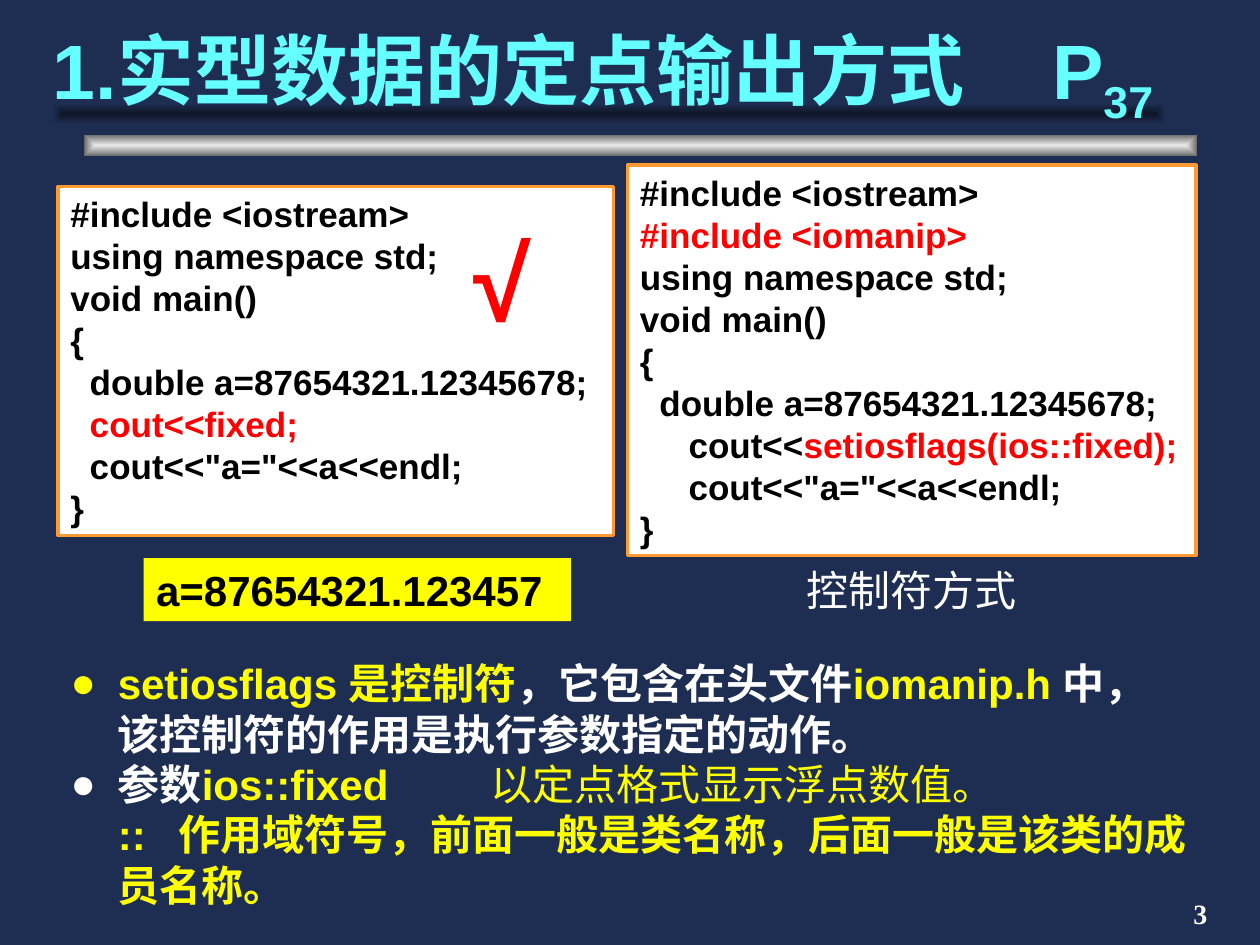
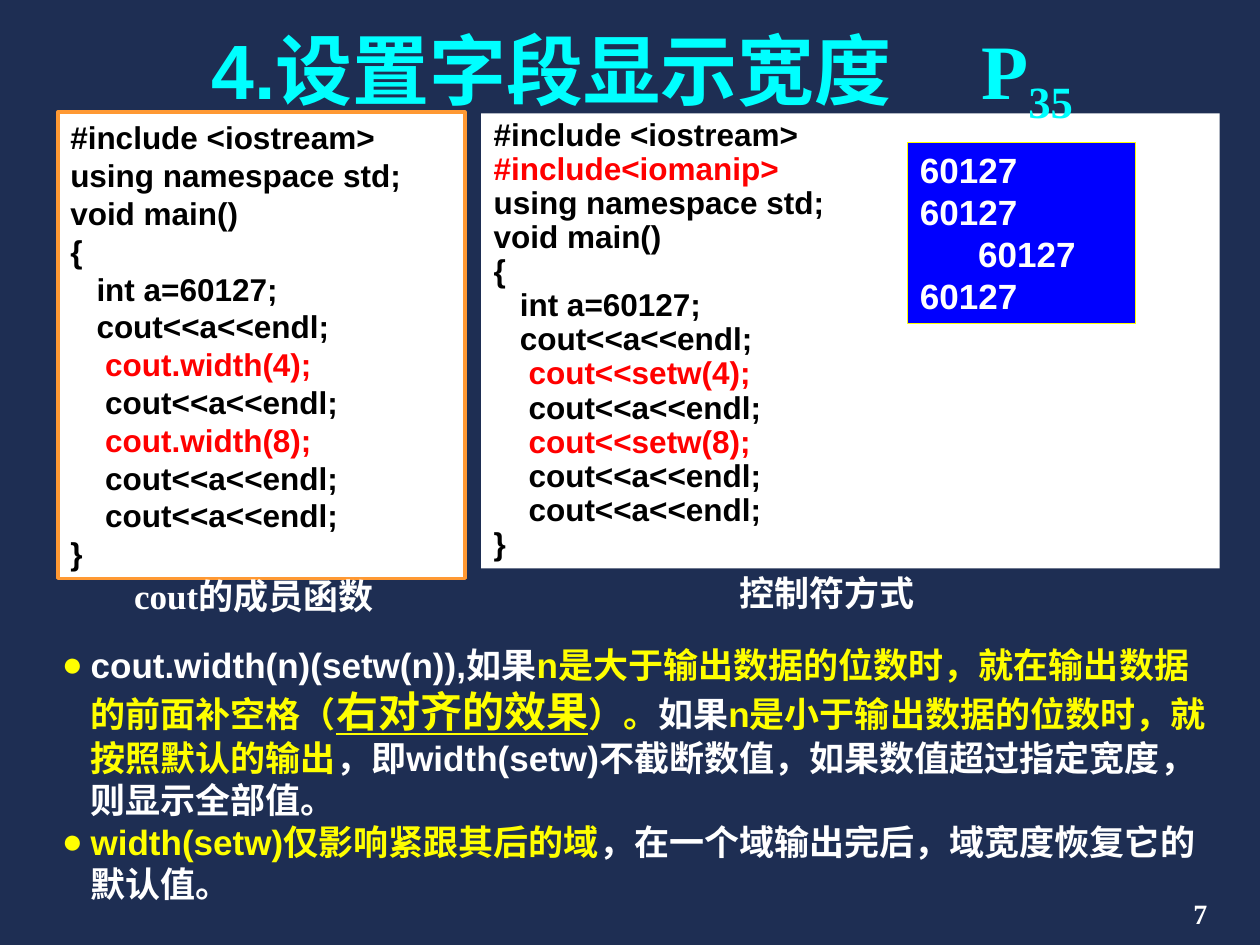
import pptx
import pptx.dml.color
import pptx.enum.dml
import pptx.enum.shapes
import pptx.enum.text
import pptx.oxml
import pptx.oxml.ns
import pptx.util
from lxml import etree

Pt = pptx.util.Pt
RGBColor = pptx.dml.color.RGBColor
Align = pptx.enum.text.PP_ALIGN
Anchor = pptx.enum.text.MSO_ANCHOR
qn = pptx.oxml.ns.qn

NAVY = RGBColor(0x1E, 0x2E, 0x53)
DARK_NAVY = RGBColor(0x0E, 0x15, 0x26)
SILVER = RGBColor(0xEA, 0xEA, 0xEA)
GRAY = RGBColor(0x6C, 0x6C, 0x6C)
AQUA = RGBColor(0x66, 0xFF, 0xFF)
CYAN = RGBColor(0x00, 0xFF, 0xFF)
ORANGE = RGBColor(0xFF, 0x99, 0x33)
YELLOW = RGBColor(0xFF, 0xFF, 0x00)
RED = RGBColor(0xFF, 0x00, 0x00)
BLUE = RGBColor(0x00, 0x00, 0xFF)
WHITE = RGBColor(0xFF, 0xFF, 0xFF)
BLACK = RGBColor(0x00, 0x00, 0x00)

SANS, SERIF = "Arial", "Times New Roman"
SUBSCRIPT = "-25000"
TITLE_BOTTOM = 76.5
NUMBER_BOX = (547.2, 504, 149.8, 36)
TITLE_BARS = [  # box, centre colour, edge colour
    ((48.2, 77, 635.8, 12.2), SILVER, GRAY),
    ((30.2, 59, 635.8, 12.2), DARK_NAVY, NAVY),
]

# A paragraph is a string or a list of runs: (text, colour, other font settings).
FIXED_CODE = [
    "#include <iostream>",
    "using namespace std;",
    "void main()",
    "{",
    "  double a=87654321.12345678;",
    [("  cout<<fixed;", RED)],
    '  cout<<"a="<<a<<endl;',
    "}",
]
SETIOSFLAGS_CODE = [
    "#include <iostream>",
    [("#include <iomanip>", RED)],
    "using namespace std;",
    "void main()",
    "{",
    "  double a=87654321.12345678;",
    [("     cout<<", BLACK), ("setiosflags(ios::fixed);", RED)],
    '     cout<<"a="<<a<<endl;',
    "}",
]
FIXED_NOTES = [
    [("setiosflags 是控制符", YELLOW), ("，它包含在头文件", WHITE),
     ("iomanip.h ", YELLOW), ("中，该控制符的作用是执行参数指定的动作。", WHITE)],
    [("参数", WHITE), ("ios::fixed\t", YELLOW),
     ("以定点格式显示浮点数值。\n", YELLOW, {"bold": False}),
     ("::\t作用域符号，前面一般是类名称，后面一般是该类的成员名称。", YELLOW)],
]
WIDTH_NOTES = [
    [("cout.width(n)(setw(n)),如果", WHITE),
     ("n是大于输出数据的位数时，就在输出数据的前面补空格（", YELLOW),
     ("右对齐的效果", YELLOW, {"size": Pt(24), "underline": True}),
     ("）。", YELLOW), ("如果", WHITE),
     ("n是小于输出数据的位数时，就按照默认的输出", YELLOW),
     ("，即width(setw)不截断数值，如果数值超过指定宽度，则显示全部值。", WHITE)],
    [("width(setw)仅影响紧跟其后的域", YELLOW),
     ("，在一个域输出完后，域宽度恢复它的默认值。", WHITE)],
]


def width_code(first_lines, set_width):
    """Program lines that print a number after each width call."""
    printing = "    cout<<a<<endl;"
    return [
        "#include <iostream>",
        *first_lines,
        "using namespace std;",
        "void main()",
        "{",
        "   int a=60127;",
        "   cout<<a<<endl;",
        [(f"    {set_width}(4);", RED)],
        printing,
        [(f"    {set_width}(8);", RED)],
        printing,
        printing,
        "}",
    ]


SLIDES = [
    {
        "number": "3",
        "bars": TITLE_BARS,
        "title": [("1.实型数据的定点输出方式\tP", AQUA), ("37", AQUA, {"baseline": SUBSCRIPT})],
        "title_left": 23, "title_width": 690, "title_tab": 571,
        "boxes": [
            {"box": (33.1, 106.6, 317.5, 199.4), "text": FIXED_CODE, "fill": WHITE, "line": ORANGE},
            {"box": (82.1, 319, 244.1, 36), "text": ["a=87654321.123457"], "size": 24, "fill": YELLOW},
            {"box": (358.6, 94.3, 324.7, 223.2), "text": SETIOSFLAGS_CODE, "fill": WHITE, "line": ORANGE},
            {"box": (410.4, 319, 221, 36), "text": ["控制符方式"], "size": 24, "color": WHITE,
             "bold": False, "align": Align.CENTER},
            {"box": (263.5, 120.2, 48.2, 79.2), "text": ["√"], "size": 60, "color": RED},
        ],
        "notes": FIXED_NOTES, "notes_box": (33.1, 372.2, 652.3, 151.2), "notes_size": 24,
        "indent": 27, "bullets": [YELLOW, WHITE], "notes_tabs": [61.5, 240],
    },
    {
        "number": "7",
        "bars": [],
        "title": [("4.设置字段显示宽度\t", CYAN), ("P", CYAN, {"name": SERIF}),
                  ("35", CYAN, {"name": SERIF, "baseline": SUBSCRIPT})],
        "title_left": 113.5, "title_width": 530, "title_tab": 440,
        "boxes": [
            {"box": (275, 64.8, 422, 260), "text": width_code([[("#include<iomanip>", RED)]], "cout<<setw"),
             "size": 18, "fill": WHITE, "spacing": 0.9},
            {"box": (33.1, 64.1, 232.6, 266.4), "text": width_code([], "cout.width"),
             "size": 18, "fill": WHITE, "line": ORANGE},
            {"box": (518.6, 81.4, 130.3, 103.7), "text": ["60127", "60127", "      60127", "60127"],
             "color": WHITE, "fill": BLUE, "line": YELLOW, "line_width": 0.75},
            {"box": (34.6, 324.7, 221, 31.7), "text": ["cout的成员函数"], "color": WHITE,
             "font": SERIF, "align": Align.CENTER},
            {"box": (362.2, 323.3, 221, 31.7), "text": ["控制符方式"], "color": WHITE,
             "align": Align.CENTER},
        ],
        "notes": WIDTH_NOTES, "notes_box": (28.1, 364.3, 668.9, 156.2), "notes_size": 20,
        "indent": 16.5, "bullets": [YELLOW, YELLOW], "notes_tabs": [],
    },
]


def place(shape, box):
    shape.left, shape.top, shape.width, shape.height = map(Pt, box)


def add_bullet(paragraph, color, indent):
    properties = paragraph._p.get_or_add_pPr()
    properties.set("marL", str(Pt(indent)))
    properties.set("indent", str(-Pt(indent)))
    bullet_color = etree.SubElement(properties, qn("a:buClr"))
    etree.SubElement(bullet_color, qn("a:srgbClr"), val=str(color))
    etree.SubElement(properties, qn("a:buFont"), typeface=SANS)
    etree.SubElement(properties, qn("a:buChar"), char="●")


def add_tabs(paragraph, positions):
    tabs = etree.SubElement(paragraph._p.get_or_add_pPr(), qn("a:tabLst"))
    for position in positions:
        etree.SubElement(tabs, qn("a:tab"), pos=str(Pt(position)), algn="l")


def add_run(paragraph, text, color, settings=None):
    run = paragraph.add_run()
    run.text = text.rstrip("\n")
    run.font.color.rgb = color
    for name, value in (settings or {}).items():
        if name == "baseline":
            run._r.get_or_add_rPr().set(name, value)
        else:
            setattr(run.font, name, value)
    if text.endswith("\n"):
        paragraph.add_line_break()


def write(shape, paragraphs, size=20, color=BLACK, font=SANS, bold=True, align=Align.LEFT,
          anchor=Anchor.TOP, spacing=1.0, bullets=(), indent=0, tabs=()):
    frame = shape.text_frame
    frame.word_wrap = True
    frame.auto_size = pptx.enum.text.MSO_AUTO_SIZE.NONE
    frame.vertical_anchor = anchor
    for index, content in enumerate(paragraphs):
        paragraph = frame.add_paragraph() if index else frame.paragraphs[0]
        paragraph.alignment = align
        paragraph.line_spacing = spacing
        paragraph.space_before = Pt(0)
        if bullets:
            add_bullet(paragraph, bullets[index], indent)
        if tabs:
            add_tabs(paragraph, tabs)
        paragraph.font.size = Pt(size)
        paragraph.font.name = font
        paragraph.font.bold = bold
        paragraph.font.color.rgb = color
        for run in [(content, color)] if isinstance(content, str) else content:
            add_run(paragraph, *run)


def add_rectangle(slide, box):
    shape = slide.shapes.add_shape(pptx.enum.shapes.MSO_SHAPE.RECTANGLE, *map(Pt, box))
    shape.shadow.inherit = False
    shape.line.fill.background()
    return shape


def add_bar(slide, box, centre, edge):
    """Rectangle shaded from its centre to its edges."""
    fill = add_rectangle(slide, box).fill
    fill.gradient()
    for stop, color in zip(fill.gradient_stops, (centre, edge)):
        stop.color.rgb = color
    gradient = fill._xPr.find(qn("a:gradFill"))
    linear = gradient.find(qn("a:lin"))
    shading = etree.Element(qn("a:path"), {"path": "rect"})
    etree.SubElement(shading, qn("a:fillToRect"), dict.fromkeys("ltrb", "50000"))
    gradient.replace(linear, shading)


def add_box(slide, box, text, fill=None, line=None, line_width=2, **style):
    if fill is None:
        shape = slide.shapes.add_textbox(*map(Pt, box))
    else:
        shape = add_rectangle(slide, box)
        shape.fill.solid()
        shape.fill.fore_color.rgb = fill
    if line is not None:
        shape.line.color.rgb = line
        shape.line.width = Pt(line_width)
    write(shape, text, **style)


def build_slide(presentation, content):
    slide = presentation.slides.add_slide(presentation.slide_layouts[1])
    title, notes = slide.shapes.title, slide.placeholders[1]
    for bar in content["bars"]:
        add_bar(slide, *bar)
    for box in content["boxes"]:
        add_box(slide, **box)
    add_box(slide, NUMBER_BOX, [content["number"]], size=16, color=WHITE, font=SERIF,
            align=Align.RIGHT, anchor=Anchor.MIDDLE)

    place(notes, content["notes_box"])
    write(notes, content["notes"], size=content["notes_size"], color=WHITE,
          bullets=content["bullets"], indent=content["indent"], tabs=content["notes_tabs"])

    place(title, (content["title_left"], 0, content["title_width"], TITLE_BOTTOM))
    write(title, [content["title"]], size=44, color=CYAN, anchor=Anchor.BOTTOM,
          tabs=[content["title_tab"]])
    slide.shapes._spTree.append(title._element)  # the subscript overlaps the code box


def main():
    presentation = pptx.Presentation()
    presentation.slide_width, presentation.slide_height = Pt(720), Pt(540)
    background = presentation.slide_master.background.fill
    background.solid()
    background.fore_color.rgb = NAVY
    for content in SLIDES:
        build_slide(presentation, content)
    presentation.save("out.pptx")


if __name__ == "__main__":
    main()
